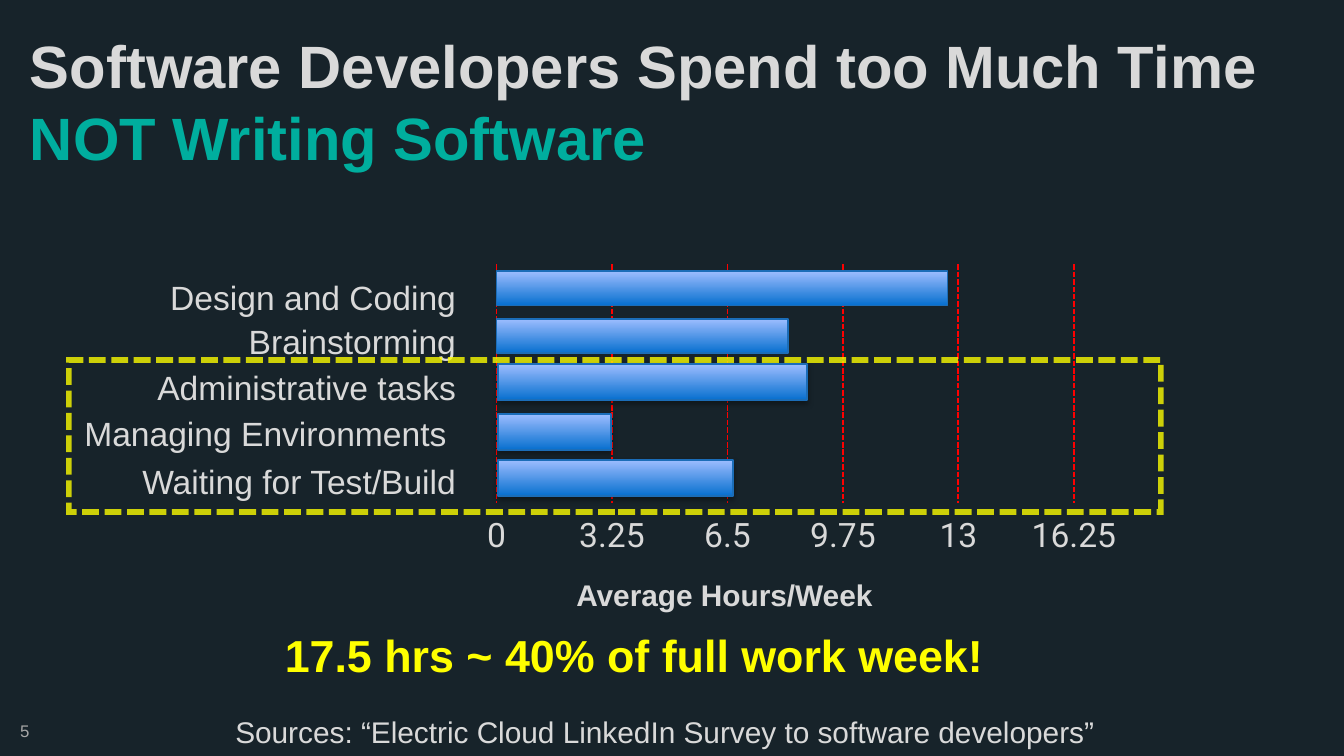
from lxml import etree
from pptx import Presentation
from pptx.chart.data import CategoryChartData
from pptx.dml.color import RGBColor
from pptx.enum.chart import XL_CHART_TYPE, XL_TICK_LABEL_POSITION, XL_TICK_MARK
from pptx.enum.dml import MSO_LINE
from pptx.enum.shapes import MSO_SHAPE
from pptx.enum.text import MSO_ANCHOR, MSO_AUTO_SIZE, PP_ALIGN
from pptx.oxml import parse_xml
from pptx.oxml.ns import nsdecls, qn
from pptx.util import Pt

PX = 914400 / 134.4
BACKGROUND = RGBColor(0x17, 0x23, 0x2A)
LIGHT = RGBColor(0xD9, 0xD9, 0xD9)
GREY = RGBColor(0xA6, 0xA6, 0xA6)
TEAL = RGBColor(0x00, 0xAE, 0x9E)
YELLOW = RGBColor(0xFF, 0xFF, 0x00)
RED = RGBColor(0xFF, 0x00, 0x00)
BAR_DARK = RGBColor(0x08, 0x70, 0xCF)
BAR_LIGHT = RGBColor(0x9D, 0xBD, 0xFF)
BAR_EDGE = RGBColor(0x1B, 0x6D, 0xB8)


def add_text(shapes, box, text, size, color=LIGHT, bold=False,
             align=PP_ALIGN.CENTER, inset=8, wrap=True):
    tb = shapes.add_textbox(*[round(v * PX) for v in box])
    tf = tb.text_frame
    tf.text = text
    tf.word_wrap = wrap
    tf.auto_size = MSO_AUTO_SIZE.SHAPE_TO_FIT_TEXT
    tf.vertical_anchor = MSO_ANCHOR.MIDDLE
    tf.margin_left = tf.margin_right = round(inset * PX)
    tf.margin_top = tf.margin_bottom = round(inset * PX)
    p = tf.paragraphs[0]
    p.alignment = align
    font = p.runs[0].font
    font.name, font.size, font.bold = "Arial", Pt(size), bold
    font.color.rgb = color
    return tf


def style_bar(fmt):
    """Give a bar its upward gradient and thin edge."""
    fmt.fill.gradient()
    fmt.fill.gradient_angle = 90
    for stop, color in zip(fmt.fill.gradient_stops, (BAR_DARK, BAR_LIGHT)):
        stop.color.rgb = color
    fmt.line.color.rgb = BAR_EDGE
    fmt.line.width = Pt(0.75)


prs = Presentation()
prs.slide_width = round(1344 * PX)
prs.slide_height = round(756 * PX)
s = prs.slides.add_slide(prs.slide_layouts[6])
s.background.fill.solid()
s.background.fill.fore_color.rgb = BACKGROUND

# Hours chart
data = CategoryChartData()
data.categories = ["1", "2", "3", "4", "5"]
data.add_series("Series 1", (12.7, 8.2, 8.7, 3.2, 6.6))
chart = s.shapes.add_chart(
    XL_CHART_TYPE.BAR_CLUSTERED,
    *[round(v * PX) for v in (266, 235, 1048, 452)], data).chart
chart.has_legend = False
chart.has_title = False
chart.font.name = "Arial"
chart.font.size = Pt(10)

plot = chart.plots[0]
plot.vary_by_categories = False
plot.gap_width = 40
plot.overlap = -10
series = plot.series[0]
style_bar(series.format)
for i in (2, 3, 4):
    fmt = series.points[i].format
    style_bar(fmt)
    fmt.line.fill.background()

cat_axis = chart.category_axis
cat_axis.reverse_order = True
cat_axis.visible = False

val_axis = chart.value_axis
val_axis.minimum_scale = 0
val_axis.maximum_scale = 16.25
val_axis.major_unit = 3.25
val_axis.major_tick_mark = XL_TICK_MARK.NONE
val_axis.tick_label_position = XL_TICK_LABEL_POSITION.HIGH
val_axis.format.line.fill.background()
val_axis.tick_labels.number_format = "General"
val_axis.tick_labels.number_format_is_linked = False
font = val_axis.tick_labels.font
font.name, font.size = "Roboto", Pt(18)
font.color.rgb = LIGHT
grid = val_axis.major_gridlines.format.line
grid.color.rgb = RED
grid.width = Pt(1)
grid.dash_style = MSO_LINE.SQUARE_DOT

plot_area = plot._element.getparent()
for old in plot_area.findall(qn("c:layout")):
    plot_area.remove(old)
plot_area.insert(0, parse_xml(
    f'<c:layout {nsdecls("c")}><c:manualLayout><c:layoutTarget val="inner"/>'
    '<c:xMode val="edge"/><c:yMode val="edge"/><c:x val="0.22"/>'
    '<c:y val="0.065"/><c:w val="0.551"/><c:h val="0.529"/>'
    '</c:manualLayout></c:layout>'))

add_text(s.shapes, (227, 711, 876, 42),
         "Sources: “Electric Cloud LinkedIn Survey to software developers”",
         16, inset=3, wrap=False)

# Category labels
labels = s.shapes.add_group_shape().shapes
for top, text in ((269, "Design and Coding"), (313, "Brainstorming"),
                  (359, "Administrative tasks"),
                  (405, "Managing Environments "),
                  (453, "Waiting for Test/Build")):
    add_text(labels, (35, top, 429, 56), text, 18, align=PP_ALIGN.RIGHT)

add_text(s.shapes, (511, 569, 427, 51), "Average Hours/Week", 16, bold=True)

# Title and slide number
title = add_text(s.shapes, (16, 21, 1259, 144),
                 "Software Developers Spend too Much Time ", 32, bold=True,
                 align=PP_ALIGN.LEFT, inset=14)
title.auto_size = MSO_AUTO_SIZE.NONE
title.vertical_anchor = MSO_ANCHOR.TOP
title.margin_top = round(8 * PX)
p = title.paragraphs[0]
r = p.add_run()
r.text = "NOT Writing Software"
r.font.name, r.font.size, r.font.bold = "Arial", Pt(32), True
r.font.color.rgb = TEAL

number = add_text(s.shapes, (7, 711, 55, 40), "5", 9, GREY,
                  align=PP_ALIGN.LEFT, inset=13)
number.auto_size = MSO_AUTO_SIZE.NONE

# Dashed frame around the non-coding work
frame = s.shapes.add_shape(
    MSO_SHAPE.RECTANGLE, *[round(v * PX) for v in (69, 360, 1092, 152)])
frame.shadow.inherit = False
frame.fill.background()
frame.line.color.rgb = YELLOW
frame.line.width = Pt(3)
frame.line.dash_style = MSO_LINE.SQUARE_DOT
ln = frame._element.spPr.find(qn("a:ln"))
etree.SubElement(ln.find(".//" + qn("a:srgbClr")),
                 qn("a:alpha")).set("val", "78000")
etree.SubElement(ln, qn("a:miter")).set("lim", "800000")

add_text(s.shapes, (69, 620, 1130, 70), "17.5 hrs ~ 40% of full work week!",
         24, YELLOW, bold=True)

# Raised bars inside the frame
bars = s.shapes.add_group_shape().shapes
for top, width in ((364, 309), (414, 113), (460, 235)):
    bar = bars.add_shape(
        MSO_SHAPE.RECTANGLE, *[round(v * PX) for v in (498, top, width, 36)])
    style_bar(bar)
    bar.shadow.inherit = False
    effects = bar._element.spPr.find(qn("a:effectLst"))
    effects.append(parse_xml(
        f'<a:outerShdw {nsdecls("a")} blurRad="39370" dist="22860" '
        'dir="5400000" rotWithShape="0"><a:srgbClr val="000000">'
        '<a:alpha val="35000"/></a:srgbClr></a:outerShdw>'))

prs.save("out.pptx")
